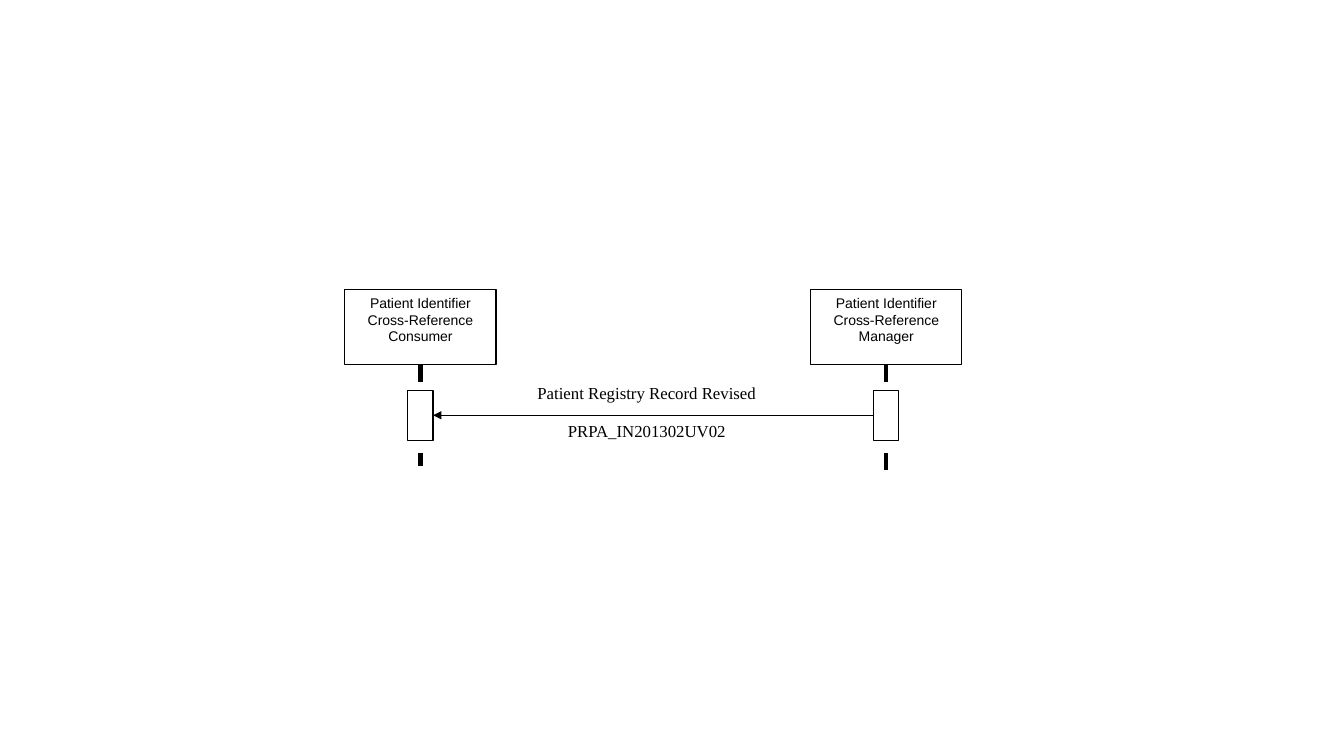
from dataclasses import dataclass

from lxml import etree
from pptx import Presentation
from pptx.dml.color import RGBColor
from pptx.enum.dml import MSO_LINE
from pptx.enum.shapes import MSO_CONNECTOR, MSO_SHAPE
from pptx.enum.text import MSO_ANCHOR, PP_ALIGN
from pptx.oxml.ns import qn
from pptx.shapes.autoshape import Shape
from pptx.shapes.connector import Connector
from pptx.slide import Slide
from pptx.util import Inches, Pt

RECTANGLE = MSO_SHAPE.RECTANGLE
STRAIGHT = MSO_CONNECTOR.STRAIGHT
DASH = MSO_LINE.DASH
CENTER = PP_ALIGN.CENTER
TOP = MSO_ANCHOR.TOP
LEFT_SIDE, BOTTOM_SIDE, RIGHT_SIDE = 1, 2, 3

COLORS = {"ink": "000000", "paper": "FFFFFF"}
ACTOR_FONT = {"name": "Arial", "size": Pt(10)}
MESSAGE_FONT = {"name": "Times New Roman", "size": Pt(12)}

ACTOR_TOP, ACTOR_WIDTH, ACTOR_HEIGHT = 2.87, 1.5, 0.75
ACTIVATION_TOP, ACTIVATION_WIDTH, ACTIVATION_HEIGHT = 3.87, 0.25, 0.5
MESSAGE_LEFT, MESSAGE_WIDTH, MESSAGE_HEIGHT = 4.79, 3.25, 0.37


@dataclass
class Actor:
    label: str
    center: float
    lifeline_end: float


@dataclass
class Message:
    text: str
    top: float
    space_before: float


ACTORS = [
    Actor("Patient Identifier Cross-Reference Consumer", 4.17, 4.62),
    Actor("Patient Identifier Cross-Reference Manager", 8.79, 4.75),
]
MESSAGES = [
    Message("Patient Registry Record Revised", 3.75, 6),
    Message("PRPA_IN201302UV02", 4.12, 0),
]


def color(name: str) -> RGBColor:
    return RGBColor.from_string(COLORS[name])


def add_box(slide: Slide, left: float, top: float, width: float, height: float,
            outlined: bool = True) -> Shape:
    box = slide.shapes.add_shape(
        RECTANGLE, Inches(left), Inches(top), Inches(width), Inches(height))
    box.shadow.inherit = False
    box.fill.solid()
    box.fill.fore_color.rgb = color("paper")
    if outlined:
        box.line.color.rgb = color("ink")
        box.line.width = Pt(0.75)
    else:
        box.line.fill.background()
    return box


def write(box: Shape, text: str, font_format: dict, space_before: float) -> None:
    frame = box.text_frame
    frame.word_wrap = True
    frame.vertical_anchor = TOP
    paragraph = frame.paragraphs[0]
    paragraph.alignment = CENTER
    paragraph.space_before = Pt(space_before)
    run = paragraph.add_run()
    run.text = text
    run.font.color.rgb = color("ink")
    for attribute, value in font_format.items():
        setattr(run.font, attribute, value)


def add_line(slide: Slide, start: tuple[float, float], end: tuple[float, float],
             width: float) -> Connector:
    line = slide.shapes.add_connector(
        STRAIGHT, *(Inches(value) for value in (*start, *end)))
    line.line.color.rgb = color("ink")
    line.line.width = Pt(width)
    etree.SubElement(line._element.spPr, qn("a:effectLst"))
    return line


def add_actor(slide: Slide, actor: Actor) -> Shape:
    """Draw the actor with its lifeline and return its activation bar."""
    header = add_box(slide, actor.center - ACTOR_WIDTH / 2, ACTOR_TOP,
                     ACTOR_WIDTH, ACTOR_HEIGHT)
    write(header, actor.label, ACTOR_FONT, 6)
    lifeline = add_line(slide, (actor.center, ACTOR_TOP + ACTOR_HEIGHT),
                        (actor.center, actor.lifeline_end), 3)
    lifeline.line.dash_style = DASH
    lifeline.begin_connect(header, BOTTOM_SIDE)
    return add_box(slide, actor.center - ACTIVATION_WIDTH / 2, ACTIVATION_TOP,
                   ACTIVATION_WIDTH, ACTIVATION_HEIGHT)


def add_message_arrow(slide: Slide, receiver: Shape, sender: Shape) -> None:
    middle = ACTIVATION_TOP + ACTIVATION_HEIGHT / 2
    arrow = add_line(slide, (ACTORS[0].center, middle), (ACTORS[1].center, middle), 1)
    arrow.begin_connect(receiver, RIGHT_SIDE)
    arrow.end_connect(sender, LEFT_SIDE)
    outline = arrow.line._get_or_add_ln()
    etree.SubElement(outline, qn("a:headEnd"), type="triangle")


def main() -> None:
    deck = Presentation()
    deck.slide_width, deck.slide_height = Inches(13.33), Inches(7.5)
    slide = deck.slides.add_slide(deck.slide_layouts[6])
    consumer, manager = [add_actor(slide, actor) for actor in ACTORS]
    for message in MESSAGES:
        caption = add_box(slide, MESSAGE_LEFT, message.top,
                          MESSAGE_WIDTH, MESSAGE_HEIGHT, outlined=False)
        write(caption, message.text, MESSAGE_FONT, message.space_before)
    add_message_arrow(slide, consumer, manager)
    deck.save("out.pptx")


if __name__ == "__main__":
    main()
